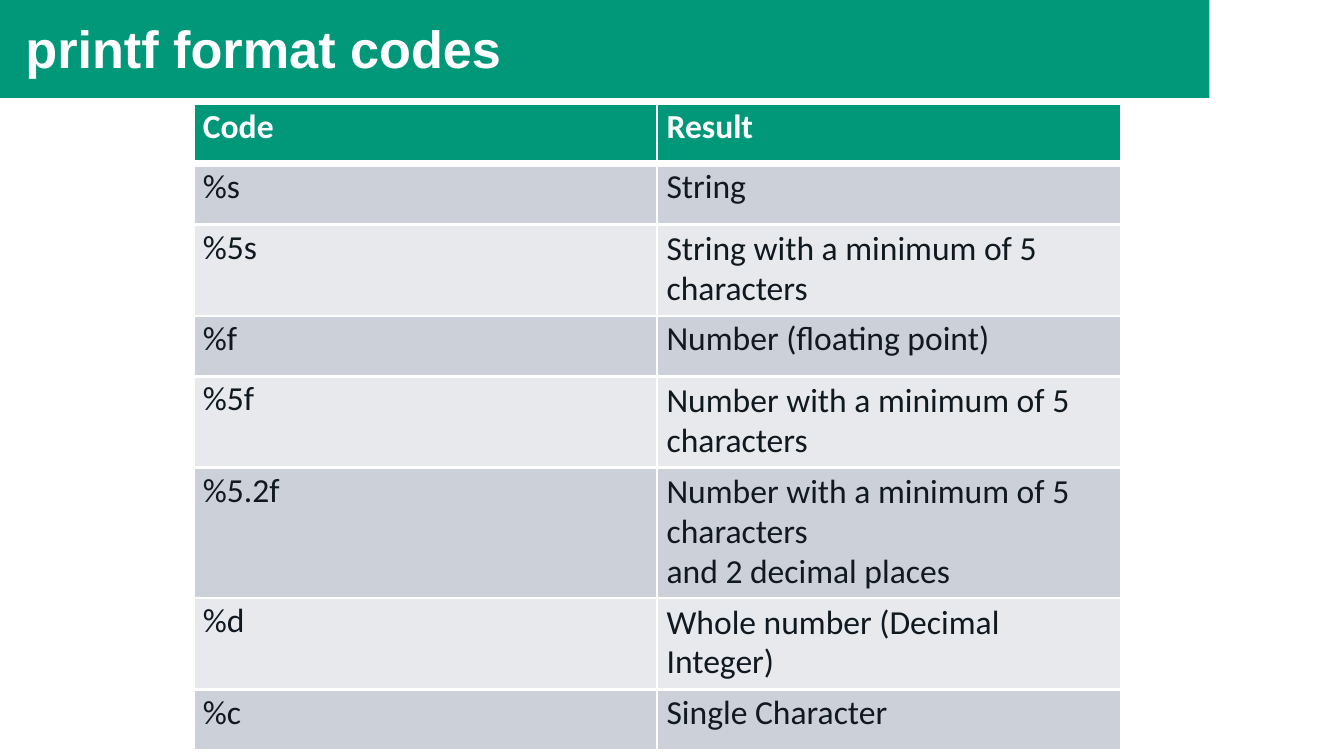
from dataclasses import dataclass

import pptx
import pptx.dml.color
import pptx.enum.shapes
import pptx.oxml
import pptx.oxml.ns
import pptx.util
from pptx.util import Inches


@dataclass(frozen=True)
class Theme:
    green: str = "009878"
    white: str = "FFFFFF"
    ink: str = "101920"
    dark_band: str = "CBD0D9"
    light_band: str = "E7E9ED"
    title_font: str = "Arial"
    table_font: str = "Calibri"
    title_size: float = 28
    table_size: float = 18
    border: float = 1.5
    header_border: float = 4.25
    line_spacing: float = 21.3


def rgb(color):
    return pptx.dml.color.RGBColor.from_string(color)


class SlideBuilder:
    def __init__(self, slide, theme):
        self.slide = slide
        self.theme = theme

    def style(self, paragraph, font, size, color, bold=False):
        paragraph.font.name = font
        paragraph.font.size = pptx.util.Pt(size)
        paragraph.font.bold = bold
        paragraph.font.color.rgb = rgb(color)

    def banner(self, left, top, width, height):
        banner = self.slide.shapes.add_shape(
            pptx.enum.shapes.MSO_SHAPE.RECTANGLE,
            Inches(left), Inches(top), Inches(width), Inches(height))
        banner.shadow.inherit = False
        banner.fill.solid()
        banner.fill.fore_color.rgb = rgb(self.theme.green)
        banner.line.fill.background()

    def title(self, text, left, top, width, height):
        frame = self.slide.shapes.add_textbox(
            Inches(left), Inches(top), Inches(width), Inches(height)).text_frame
        frame.word_wrap = True
        frame.margin_left = frame.margin_top = Inches(0.01)
        frame.margin_right = frame.margin_bottom = 0
        frame.text = text
        self.style(frame.paragraphs[0], self.theme.title_font,
                   self.theme.title_size, self.theme.white, bold=True)

    def cell_border(self, cell, side, width):
        line = pptx.oxml.parse_xml(
            f'<a:{side} {pptx.oxml.ns.nsdecls("a")} w="{int(pptx.util.Pt(width))}">'
            f'<a:solidFill><a:srgbClr val="{self.theme.white}"/></a:solidFill></a:{side}>')
        cell._tc.get_or_add_tcPr().append(line)

    def cell(self, cell, text, row):
        theme = self.theme
        is_header = row == 0
        wraps = len(text) > 23
        cell.margin_left = Inches(0.07)
        cell.margin_top = Inches(0.04 if wraps else 0.02)
        cell.margin_right = cell.margin_bottom = 0
        widths = {
            "lnL": theme.border,
            "lnR": theme.border,
            "lnT": theme.header_border if row == 1 else theme.border,
            "lnB": theme.header_border if is_header else theme.border,
        }
        for side, width in widths.items():
            self.cell_border(cell, side, width)
        band = theme.dark_band if row % 2 else theme.light_band
        cell.fill.solid()
        cell.fill.fore_color.rgb = rgb(theme.green if is_header else band)
        cell.text = text
        for paragraph in cell.text_frame.paragraphs:
            self.style(paragraph, theme.table_font, theme.table_size,
                       theme.white if is_header else theme.ink, bold=is_header)
            if wraps:
                paragraph.line_spacing = pptx.util.Pt(theme.line_spacing)

    def table(self, rows, heights, left, top, width):
        table = self.slide.shapes.add_table(
            len(rows), len(rows[0]), Inches(left), Inches(top),
            Inches(width), Inches(sum(heights))).table
        for row, (texts, height) in enumerate(zip(rows, heights)):
            table.rows[row].height = Inches(height)
            for column, text in enumerate(texts):
                self.cell(table.cell(row, column), text, row)


FORMAT_CODES = [
    ("Code", "Result"),
    ("%s", "String"),
    ("%5s", "String with a minimum of 5  characters"),
    ("%f", "Number (floating point)"),
    ("%5f", "Number with a minimum of 5  characters"),
    ("%5.2f", "Number with a minimum of 5  characters\nand 2 decimal places"),
    ("%d", "Whole number (Decimal  Integer)"),
    ("%c", "Single Character"),
]
ONE_LINE, TWO_LINES, THREE_LINES = 0.45, 0.68, 0.97
ROW_HEIGHTS = [ONE_LINE, ONE_LINE, TWO_LINES, ONE_LINE,
               TWO_LINES, THREE_LINES, TWO_LINES, ONE_LINE]


def main():
    presentation = pptx.Presentation()
    presentation.slide_width = Inches(10)
    presentation.slide_height = presentation.slide_width * 9 // 16
    slide = presentation.slides.add_slide(presentation.slide_layouts[6])
    builder = SlideBuilder(slide, Theme())
    builder.banner(0, 0, 9, 0.73)
    builder.table(FORMAT_CODES, ROW_HEIGHTS, 1.44, 0.77, 6.9)
    builder.title("printf format codes", 0.18, 0.11, 5.24, 0.49)
    presentation.save("out.pptx")


if __name__ == "__main__":
    main()
